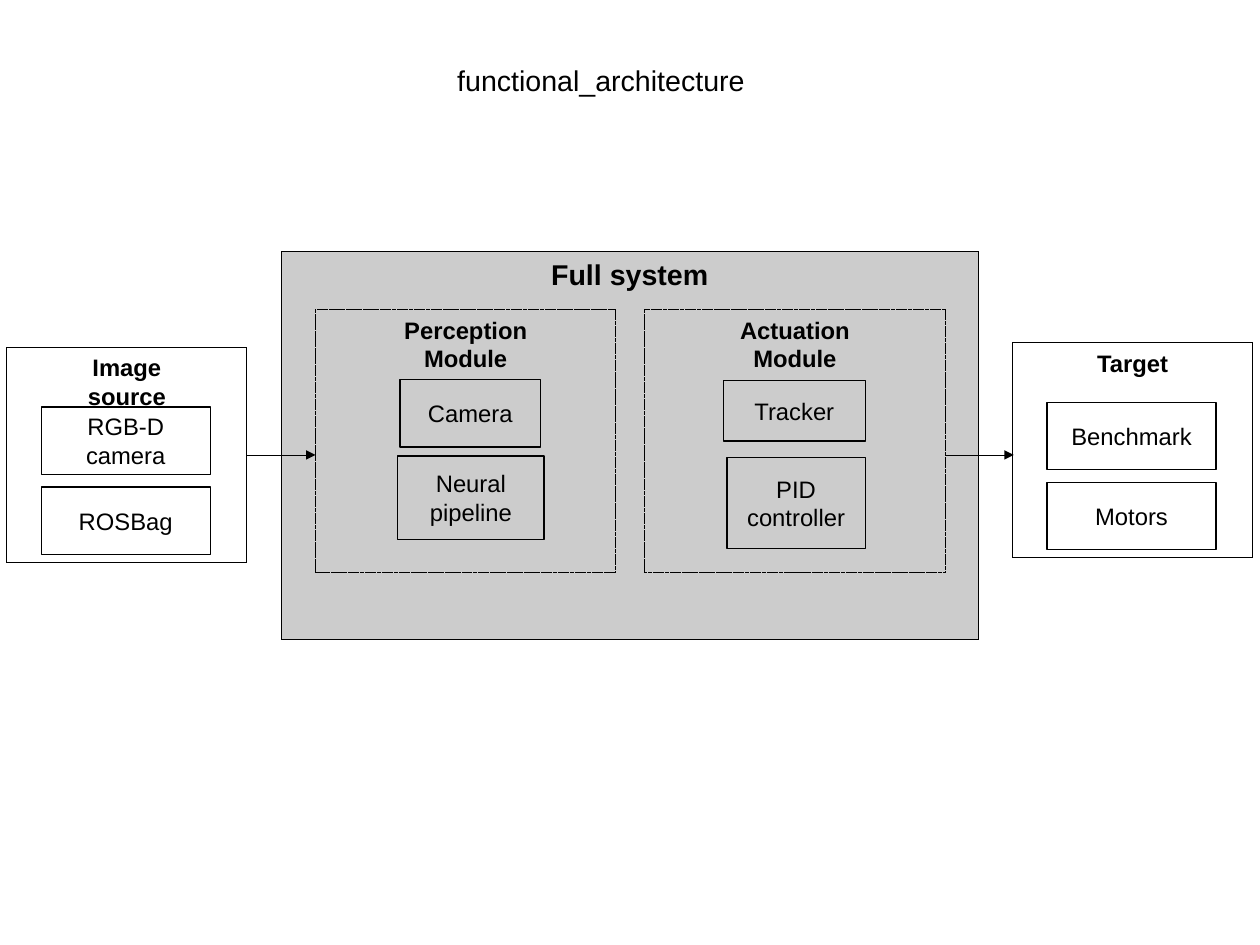
from dataclasses import dataclass

from lxml import etree
from pptx import Presentation
from pptx.dml.color import RGBColor
from pptx.enum.dml import MSO_LINE
from pptx.enum.shapes import MSO_CONNECTOR, MSO_SHAPE
from pptx.enum.text import MSO_ANCHOR, MSO_AUTO_SIZE, PP_ALIGN
from pptx.oxml.ns import qn
from pptx.shapes.autoshape import Shape
from pptx.shapes.connector import Connector
from pptx.slide import Slide
from pptx.text.text import TextFrame
from pptx.util import Cm, Inches, Pt

BLACK = RGBColor(0x00, 0x00, 0x00)
GRAY = RGBColor(0xCC, 0xCC, 0xCC)
FONT = "Arial"
RECTANGLE = MSO_SHAPE.RECTANGLE
STRAIGHT = MSO_CONNECTOR.STRAIGHT
DOTTED = MSO_LINE.ROUND_DOT
TOP, MIDDLE = MSO_ANCHOR.TOP, MSO_ANCHOR.MIDDLE
LEFT, CENTER = PP_ALIGN.LEFT, PP_ALIGN.CENTER
NO_AUTOFIT = MSO_AUTO_SIZE.NONE
RIGHT_SIDE = 3
HAIRLINE = 0.01
FLOW_Y = 3.98


@dataclass(frozen=True)
class Box:
    text: str
    left: float
    top: float
    width: float
    height: float


@dataclass(frozen=True)
class Endpoint:
    """A block outside the system with two equal components inside."""
    heading: str
    left: float
    top: float
    components: tuple[str, str]


FULL_SYSTEM = Box("Full system", 2.46, 2.2, 6.1, 3.4)
MODULES = (
    Box("Perception\nModule", 2.76, 2.71, 2.63, 2.3),
    Box("Actuation\nModule", 5.64, 2.71, 2.63, 2.3),
)
MODULE_PARTS = (
    Box("Camera", 3.5, 3.32, 1.23, 0.59),
    Box("Neural\npipeline", 3.48, 3.99, 1.28, 0.73),
    Box("Tracker", 6.33, 3.33, 1.24, 0.53),
    Box("PID\ncontroller", 6.36, 4, 1.21, 0.8),
)
IMAGE_SOURCE = Endpoint("Image\nsource", 0.06, 3.04, ("RGB-D camera", "ROSBag"))
TARGET = Endpoint("Target", 8.86, 3, ("Benchmark", "Motors"))


def format_text(frame: TextFrame, size: float, bold: bool, align: PP_ALIGN) -> None:
    for paragraph in frame.paragraphs:
        paragraph.alignment = align
        for run in paragraph.runs:
            run.font.name = FONT
            run.font.size = Pt(size)
            run.font.bold = bold
            run.font.color.rgb = BLACK


def add_box(shapes, box: Box, line_width: float) -> Shape:
    rectangle = shapes.add_shape(RECTANGLE, Inches(box.left), Inches(box.top),
                                 Inches(box.width), Inches(box.height))
    rectangle.shadow.inherit = False
    rectangle.fill.background()
    rectangle.line.color.rgb = BLACK
    rectangle.line.width = Pt(line_width)
    rectangle.text_frame.text = box.text
    return rectangle


def add_container(shapes, box: Box, size: float = 15, wrap: bool = False) -> Shape:
    container = add_box(shapes, box, HAIRLINE)
    container.text_frame.vertical_anchor = TOP
    container.text_frame.word_wrap = wrap
    format_text(container.text_frame, size, True, CENTER)
    return container


def add_component(shapes, box: Box) -> None:
    component = add_box(shapes, box, 0.79)
    component.text_frame.vertical_anchor = MIDDLE
    component.text_frame.word_wrap = True
    format_text(component.text_frame, 15, False, CENTER)


def add_endpoint(slide: Slide, endpoint: Endpoint) -> Shape:
    """Draw the block as a group and return its outer rectangle."""
    shapes = slide.shapes.add_group_shape().shapes
    frame = add_container(
        shapes, Box(endpoint.heading, endpoint.left, endpoint.top, 2.1, 1.88), wrap=True)
    for row, name in enumerate(endpoint.components):
        add_component(shapes, Box(name, endpoint.left + 0.3,
                                  endpoint.top + 0.52 + 0.7 * row, 1.48, 0.59))
    return frame


def add_flow_arrow(slide: Slide, start: float, end: float) -> Connector:
    arrow = slide.shapes.add_connector(STRAIGHT, Inches(start), Inches(FLOW_Y),
                                       Inches(end), Inches(FLOW_Y))
    arrow.line.color.rgb = BLACK
    arrow.line.width = Pt(HAIRLINE)
    etree.SubElement(arrow.line._get_or_add_ln(), qn("a:tailEnd"), type="triangle")
    etree.SubElement(arrow._element.spPr, qn("a:effectLst"))
    return arrow


def add_title(slide: Slide) -> None:
    title = slide.shapes.title
    title.left, title.top = Inches(3.9), Inches(0.5)
    title.width, title.height = Inches(3.4), Inches(0.38)
    frame = title.text_frame
    frame.text = "functional_architecture"
    frame.auto_size = NO_AUTOFIT
    frame.vertical_anchor = TOP
    frame.word_wrap = True
    format_text(frame, 18, False, LEFT)


def main() -> None:
    presentation = Presentation()
    presentation.slide_width = Cm(28)
    presentation.slide_height = Cm(21)
    slide = presentation.slides.add_slide(presentation.slide_layouts[5])
    add_title(slide)

    system = add_container(slide.shapes, FULL_SYSTEM, size=18)
    system.fill.solid()
    system.fill.fore_color.rgb = GRAY
    for module in MODULES:
        add_container(slide.shapes, module).line.dash_style = DOTTED
    for part in MODULE_PARTS:
        add_component(slide.shapes, part)

    image_source = add_endpoint(slide, IMAGE_SOURCE)
    add_endpoint(slide, TARGET)
    add_flow_arrow(slide, 2.16, 2.76).begin_connect(image_source, RIGHT_SIDE)
    add_flow_arrow(slide, 8.27, 8.87)
    presentation.save("out.pptx")


if __name__ == "__main__":
    main()
